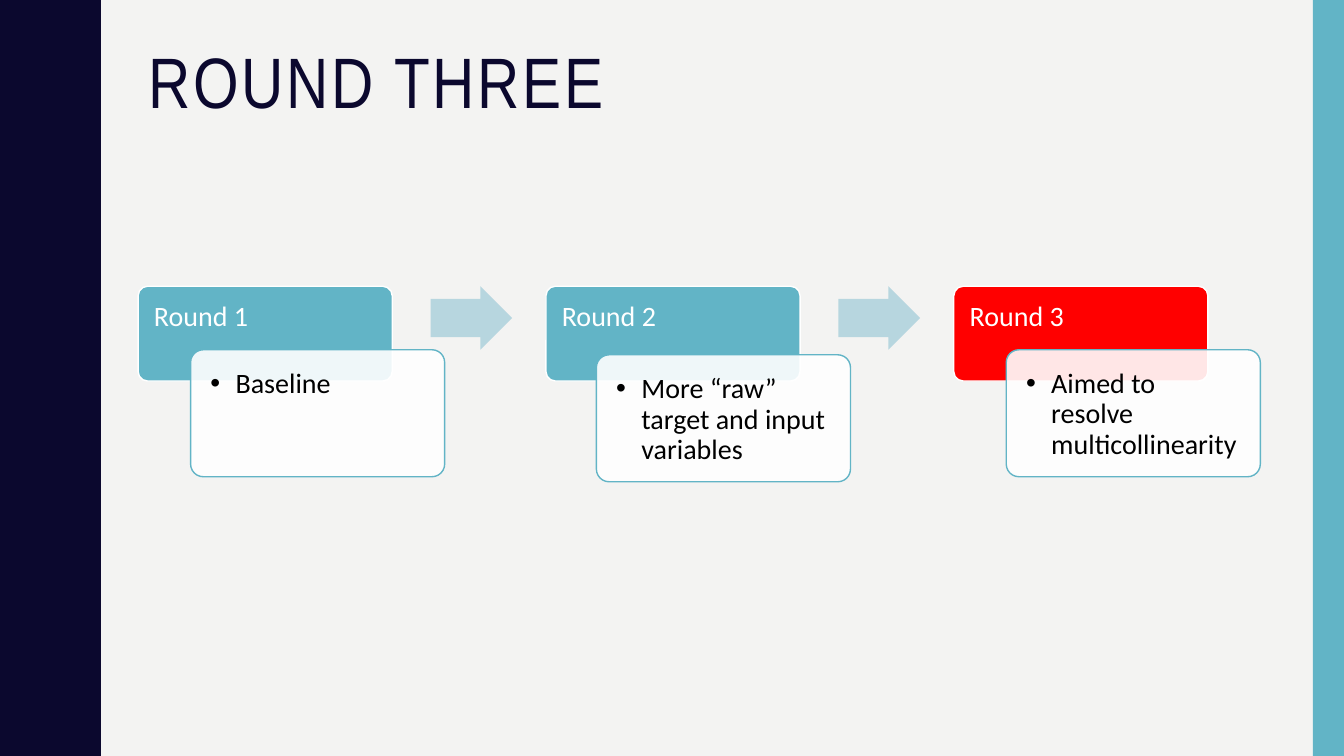
import pptx
import pptx.dml.color
import pptx.enum.shapes
import pptx.enum.text
import pptx.oxml.ns
import pptx.util
from dataclasses import dataclass
from lxml import etree

SHAPE = pptx.enum.shapes.MSO_SHAPE
Inches, Pt = pptx.util.Inches, pptx.util.Pt
qn = pptx.oxml.ns.qn


@dataclass(frozen=True)
class Theme:
    page: str = "F3F3F2"
    navy: str = "0B082E"
    teal: str = "62B4C6"
    pale: str = "B7D6DF"
    red: str = "FF0000"
    white: str = "FFFFFF"
    black: str = "000000"
    title_font: str = "Arial Narrow"
    body_font: str = "Calibri"
    title_size: int = 51
    body_size: int = 20


T = Theme()
WIDTH, HEIGHT = 13.33, 7.5

# (x, y) steps of half a wave, from trough to crest
HALF_WAVE = [(0.78, 0), (0.78, 0.07), (0.79, 0.14), (0.8, 0.2), (0.81, 0.25),
             (0.83, 0.29), (0.85, 0.33), (0.87, 0.38), (0.89, 0.42), (0.91, 0.46),
             (0.93, 0.5), (0.95, 0.55), (0.96, 0.61), (0.97, 0.68)]
HALF_HEIGHT = 0.75

# heading, fill, detail, detail offset within the column
ROUNDS = [
    ("Round 1", T.teal, "Baseline", (0.52, 0.63)),
    ("Round 2", T.teal, "More “raw” target and input variables", (0.5, 0.68)),
    ("Round 3", T.red, "Aimed to resolve multicollinearity", (0.52, 0.63)),
]
FLOW_BOX = (1.37, 2.84, 11.13, 1.94)
CARD_W, HEADER_H, DETAIL_H = 2.52, 0.94, 1.26
ARROW_DX, ARROW_W, ARROW_H = 2.9, 0.81, 0.63


def rgb(color):
    return pptx.dml.color.RGBColor.from_string(color)


def paint(s, fill, line=None, alpha=None):
    s.shadow.inherit = False
    s.fill.solid()
    s.fill.fore_color.rgb = rgb(fill)
    if alpha is not None:
        clr = s.fill._xPr.find(qn("a:solidFill"))[0]
        etree.SubElement(clr, qn("a:alpha"), val=str(alpha * 1000))
    if line:
        s.line.color.rgb = rgb(line)
        s.line.width = Pt(1)
    else:
        s.line.fill.background()


def add_block(slide, kind, box, fill, line=None, alpha=None, adj=()):
    s = slide.shapes.add_shape(kind, *map(Inches, box))
    paint(s, fill, line, alpha)
    for i, value in enumerate(adj):
        s.adjustments[i] = value
    return s


def write(s, text, margins, font, size, color):
    """Set one left-aligned paragraph at the top of s; return it."""
    tf = s.text_frame
    tf.word_wrap = True
    tf.vertical_anchor = pptx.enum.text.MSO_ANCHOR.TOP
    for side, value in zip(("left", "top", "right", "bottom"), margins):
        setattr(tf, f"margin_{side}", Inches(value))
    p = tf.paragraphs[0]
    p.alignment = pptx.enum.text.PP_ALIGN.LEFT
    p.line_spacing = 0.9
    r = p.add_run()
    r.text = text
    for name, value in {"name": font, "size": Pt(size)}.items():
        setattr(r.font, name, value)
    r.font.color.rgb = rgb(color)
    return p


def add_bullet(p):
    pPr = p._p.get_or_add_pPr()
    pPr.set("marL", str(Inches(0.25)))
    pPr.set("indent", str(-Inches(0.25)))
    etree.SubElement(pPr, qn("a:buFont"), typeface="Arial")
    etree.SubElement(pPr, qn("a:buChar"), char="•")


def add_wave_edge(slide):
    points = []
    for i in range(round(HEIGHT / HALF_HEIGHT)):
        top = i * HALF_HEIGHT
        if i % 2 == 0:
            points += [(x, top + y) for x, y in HALF_WAVE]
        else:
            points += [(x, top + HALF_HEIGHT - y) for x, y in HALF_WAVE[::-1]]
            points.insert(-len(HALF_WAVE), (HALF_WAVE[-1][0], top))
    fb = slide.shapes.build_freeform(0, 0, scale=Inches(1))
    fb.add_line_segments(points + [(0, HEIGHT)], close=True)
    paint(fb.convert_to_shape(), T.navy)


def add_title(slide, box, text):
    s = slide.shapes.add_textbox(*map(Inches, box))
    p = write(s, text, (0.1, 0.05, 0.1, 0.05), T.title_font, T.title_size, T.navy)
    p.runs[0].font._rPr.set("spc", "200")


def add_round(slide, left, top, heading, fill, detail, offset):
    header = add_block(slide, SHAPE.ROUNDED_RECTANGLE, (left, top, CARD_W, HEADER_H),
                       fill, T.white, adj=[0.1])
    write(header, heading, (0.13, 0.13, 0.13, 0.08), T.body_font, T.body_size, T.white)
    dx, dy = offset
    card = add_block(slide, SHAPE.ROUNDED_RECTANGLE,
                     (left + dx, top + dy, CARD_W, DETAIL_H),
                     T.white, T.teal, alpha=90, adj=[0.1])
    add_bullet(write(card, detail, (0.16,) * 4, T.body_font, T.body_size, T.black))


def add_flow(slide, box, rounds):
    left, top, width, _ = box
    pitch = (width - CARD_W - rounds[-1][3][0]) / (len(rounds) - 1)
    for i, item in enumerate(rounds):
        x = left + i * pitch
        add_round(slide, x, top, *item)
        if i < len(rounds) - 1:
            add_block(slide, SHAPE.RIGHT_ARROW, (x + ARROW_DX, top, ARROW_W, ARROW_H),
                      T.pale, adj=[0.6, 0.5])


def main():
    prs = pptx.Presentation()
    prs.slide_width, prs.slide_height = Inches(WIDTH), Inches(HEIGHT)
    slide = prs.slides.add_slide(prs.slide_layouts[6])
    slide.background.fill.solid()
    slide.background.fill.fore_color.rgb = rgb(T.page)
    add_wave_edge(slide)
    add_block(slide, SHAPE.RECTANGLE, (WIDTH - 0.31, 0, 0.31, HEIGHT), T.teal)
    add_title(slide, (1.37, 0.42, 11.13, 1.63), "ROUND THREE")
    add_flow(slide, FLOW_BOX, ROUNDS)
    prs.save("out.pptx")


if __name__ == "__main__":
    main()
